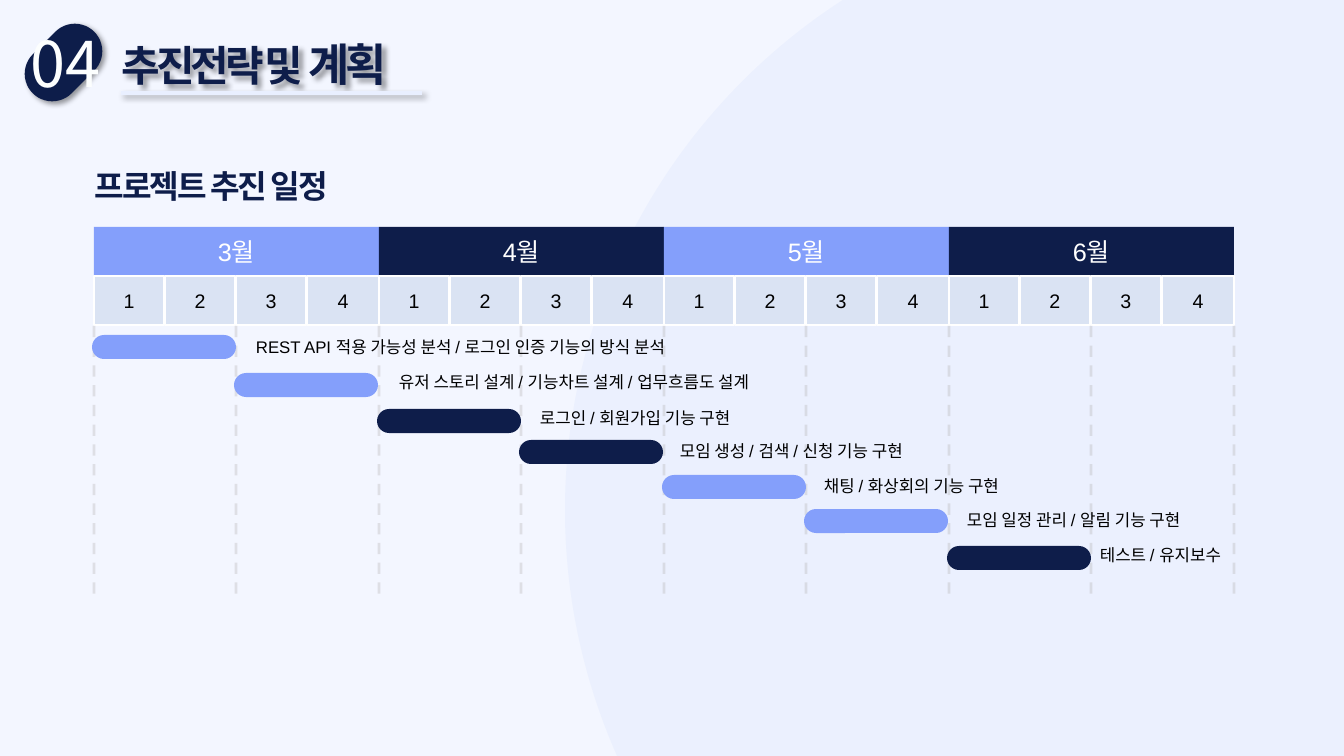
import math

from lxml import etree
from pptx import Presentation
from pptx.dml.color import RGBColor
from pptx.enum.dml import MSO_LINE
from pptx.enum.shapes import MSO_CONNECTOR, MSO_SHAPE
from pptx.enum.text import MSO_ANCHOR, PP_ALIGN
from pptx.oxml.ns import qn
from pptx.util import Pt

RECTANGLE = MSO_SHAPE.RECTANGLE
PILL = MSO_SHAPE.ROUNDED_RECTANGLE
STRAIGHT = MSO_CONNECTOR.STRAIGHT
DASH = MSO_LINE.DASH
MIDDLE = MSO_ANCHOR.MIDDLE
CENTER = PP_ALIGN.CENTER

EMU_PER_PX = 914400 / 100.8
WIDTH, HEIGHT = 1344, 756
NAVY, BLUE, PALE, WHITE, BLACK = "0E1D4A", "849FFB", "DAE3F3", "FFFFFF", "000000"
BODY_FONT, TITLE_FONT = "Arial", "Noto Sans CJK KR"

SECTION_NUMBER = "04"
TITLE_RUNS = [("추진전략 및 ", 30), ("계획", 32)]
SUBTITLE = "프로젝트 추진 일정"
MONTHS = ["3월", "4월", "5월", "6월"]
WEEKS = ["1", "2", "3", "4"]
# label, bar top, label left, label top, label width
TASKS = [
    ("REST API 적용 가능성 분석 / 로그인 인증 기능의 방식 분석", 335, 246, 332, 523),
    ("유저 스토리 설계 / 기능차트 설계 / 업무흐름도 설계", 373, 389, 367, 523),
    ("로그인 / 회원가입 기능 구현", 409, 530, 403, 523),
    ("모임 생성 / 검색 / 신청 기능 구현", 440, 670, 436, 295),
    ("채팅 / 화상회의 기능 구현", 475, 814, 471, 295),
    ("모임 일정 관리 / 알림 기능 구현", 509, 957, 505, 295),
    ("테스트 / 유지보수", 546, 1090, 540, 180),
]

GRID_LEFT, MONTH_TOP, WEEK_TOP = 94, 227, 276
MONTH_WIDTH, WEEK_STEP, ROW_HEIGHT = 285, 71, 49
GUIDE_TOP, GUIDE_BOTTOM = 326, 595
BAR_WIDTH, BAR_HEIGHT = 144, 24
CIRCLE_X, CIRCLE_Y, CIRCLE_RADIUS = 1172, 510, 607


def px(length):
    return round(length * EMU_PER_PX)


def color(hex_string):
    return RGBColor.from_string(hex_string)


def set_alpha(fill_owner, percent):
    """Make the solid colour found inside the element partly transparent."""
    tint = fill_owner.find(".//" + qn("a:srgbClr"))
    etree.SubElement(tint, qn("a:alpha")).set("val", str(percent * 1000))


def add_shadow(shape):
    properties = shape._element.spPr
    for old in properties.findall(qn("a:effectLst")):
        properties.remove(old)
    effects = etree.SubElement(properties, qn("a:effectLst"))
    shadow = etree.SubElement(effects, qn("a:outerShdw"), blurRad=str(Pt(4)),
                              dist=str(Pt(3)), dir="2700000", algn="tl", rotWithShape="0")
    tint = etree.SubElement(shadow, qn("a:srgbClr"), val=BLACK)
    etree.SubElement(tint, qn("a:alpha"), val="40000")


def style_font(font, size, hex_color, name=BODY_FONT, bold=False):
    font.size, font.name, font.bold = Pt(size), name, bold
    font.color.rgb = color(hex_color)


def add_block(page, kind, left, top, width, height, fill, text="", size=14,
              text_color=BLACK, outline=None):
    block = page.shapes.add_shape(kind, px(left), px(top), px(width), px(height))
    block.shadow.inherit = False
    block.fill.solid()
    block.fill.fore_color.rgb = color(fill)
    if outline:
        block.line.color.rgb = color(outline)
        block.line.width = Pt(1)
    else:
        block.line.fill.background()
    if kind == PILL:
        block.adjustments[0] = 0.5
    if text:
        block.text_frame.vertical_anchor = MIDDLE
        para = block.text_frame.paragraphs[0]
        para.text, para.alignment = text, CENTER
        style_font(para.font, size, text_color)
    return block


def add_text(page, left, top, width, height, runs, hex_color, name=BODY_FONT,
             bold=False, spacing=0, wrap=False):
    """Add a one-line text box; runs are (text, size) pairs, spacing is in points."""
    box = page.shapes.add_textbox(px(left), px(top), px(width), px(height))
    box.text_frame.word_wrap = wrap
    para = box.text_frame.paragraphs[0]
    style_font(para.font, runs[0][1], hex_color, name, bold)
    for text, size in runs:
        span = para.add_run()
        span.text = text
        span.font.size = Pt(size)
        if spacing:
            span._r.get_or_add_rPr().set("spc", str(round(spacing * 100)))
    return box


def add_line(page, start, end, hex_color, width):
    line = page.shapes.add_connector(STRAIGHT, *map(px, start + end))
    line.line.color.rgb = color(hex_color)
    line.line.width = Pt(width)
    etree.SubElement(line._element.spPr, qn("a:effectLst"))
    return line


def add_backdrop(page):
    """Tint the page and lay a large circle, cut off at its edges, over the right side."""
    page.background.fill.solid()
    page.background.fill.fore_color.rgb = color("F3F6FF")
    first = math.asin(-CIRCLE_Y / CIRCLE_RADIUS)
    last = math.asin((HEIGHT - CIRCLE_Y) / CIRCLE_RADIUS)
    steps = 80
    angles = [first + (last - first) * step / steps for step in range(steps + 1)]
    arc = [(px(CIRCLE_X - CIRCLE_RADIUS * math.cos(angle)),
            px(CIRCLE_Y + CIRCLE_RADIUS * math.sin(angle))) for angle in angles]
    builder = page.shapes.build_freeform(*arc[0])
    builder.add_line_segments(arc[1:] + [(px(WIDTH), px(HEIGHT)), (px(WIDTH), 0)])
    circle = builder.convert_to_shape()
    circle.shadow.inherit = False
    circle.fill.solid()
    circle.fill.fore_color.rgb = color("8FACFC")
    set_alpha(circle._element.spPr, 8)
    circle.line.fill.background()


def add_calendar(page):
    for month, month_name in enumerate(MONTHS):
        left = GRID_LEFT + month * MONTH_WIDTH
        add_block(page, RECTANGLE, left, MONTH_TOP, MONTH_WIDTH, ROW_HEIGHT,
                  (BLUE, NAVY)[month % 2], month_name, 18, WHITE)
        add_block(page, RECTANGLE, left, WEEK_TOP, MONTH_WIDTH, ROW_HEIGHT, PALE)
        for week, week_name in enumerate(WEEKS):
            offset = week * WEEK_STEP
            width = min(WEEK_STEP - 1, MONTH_WIDTH - offset)
            if week == len(WEEKS) - 1:
                width = MONTH_WIDTH - offset
            add_block(page, RECTANGLE, left + offset, WEEK_TOP, width, ROW_HEIGHT,
                      PALE, week_name, outline=WHITE)


def half_month_left(half):
    return GRID_LEFT + half // 2 * MONTH_WIDTH + half % 2 * 2 * WEEK_STEP


def add_schedule(page):
    for half in range(2 * len(MONTHS) + 1):
        x = half_month_left(half)
        guide = add_line(page, (x, GUIDE_TOP), (x, GUIDE_BOTTOM), "AFABAB", 2)
        guide.line.dash_style = DASH
        set_alpha(guide._element.spPr, 30)
    for half, (label, bar_top, label_left, label_top, label_width) in enumerate(TASKS):
        add_block(page, PILL, half_month_left(half) - 2, bar_top, BAR_WIDTH, BAR_HEIGHT,
                  (BLUE, NAVY)[half // 2 % 2])
        add_text(page, label_left, label_top, label_width, 30, [(label, 12)], BLACK, wrap=True)


def add_heading(page):
    badge = add_block(page, PILL, 20, 35, 87, 55, "0D1D4A")
    badge.rotation = 135
    add_shadow(badge)
    add_text(page, 21, 20, 91, 87, [(SECTION_NUMBER, 45)], "FCFEFE", TITLE_FONT)
    title = add_text(page, 112, 32, 314, 65, TITLE_RUNS, NAVY, TITLE_FONT, True, -3)
    add_shadow(title)
    add_shadow(add_line(page, (121, 93), (422, 93), "E9EFFF", 2.25))


def main():
    deck = Presentation()
    deck.slide_width, deck.slide_height = px(WIDTH), px(HEIGHT)
    page = deck.slides.add_slide(deck.slide_layouts[6])
    add_backdrop(page)
    add_text(page, 85, 161, 282, 49, [(SUBTITLE, 23)], NAVY, bold=True, spacing=-1.5)
    add_calendar(page)
    add_schedule(page)
    add_heading(page)
    deck.save("out.pptx")


if __name__ == "__main__":
    main()
